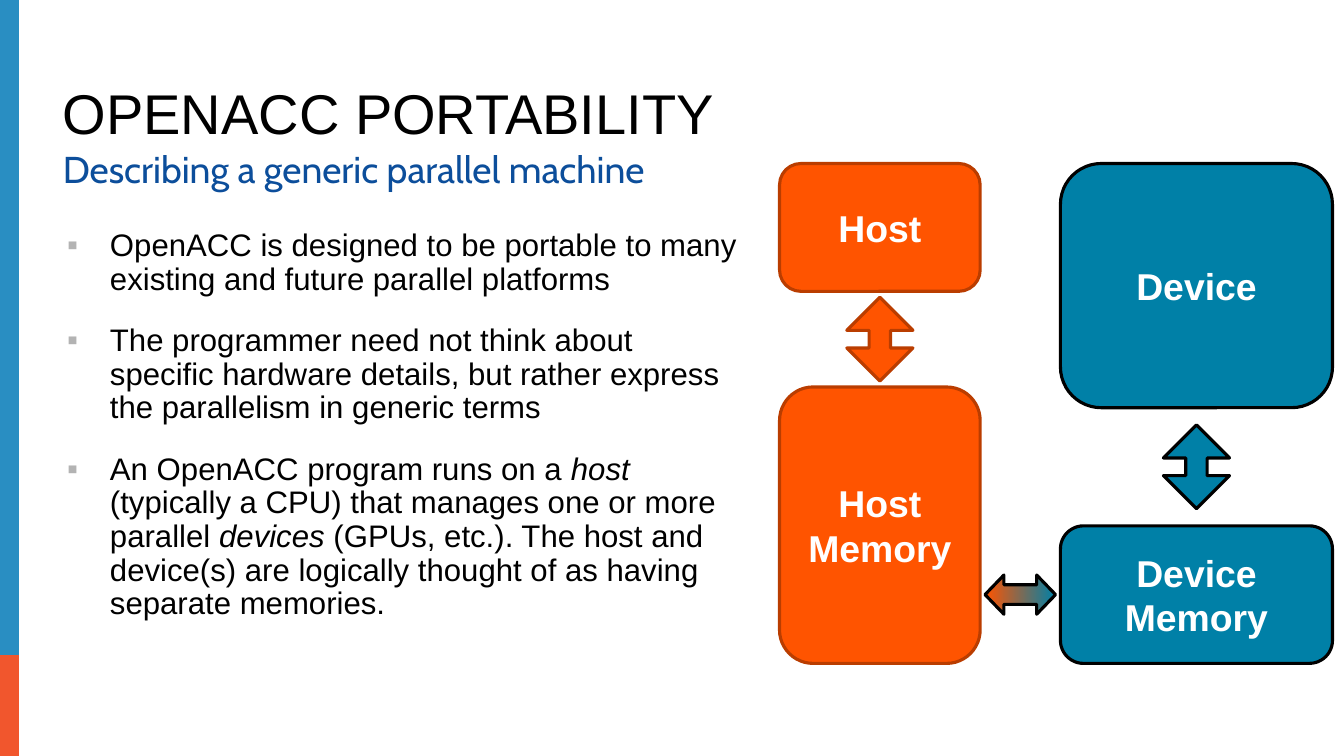
"""Build the OpenACC portability slide with its host and device diagram."""
from lxml import etree
from pptx import Presentation
from pptx.dml.color import RGBColor
from pptx.enum import shapes, text
from pptx.oxml.ns import qn
from pptx.util import Cm, Pt

BLACK = RGBColor(0x00, 0x00, 0x00)
WHITE = RGBColor(0xFF, 0xFF, 0xFF)
NAVY = RGBColor(0x0C, 0x4E, 0x9B)
GREY = RGBColor(0xB3, 0xB3, 0xB3)
BAR_BLUE = RGBColor(0x29, 0x8E, 0xC2)
BAR_RED = RGBColor(0xF1, 0x56, 0x2D)
ORANGE = RGBColor(0xFF, 0x54, 0x00)
RUST = RGBColor(0xBA, 0x3D, 0x00)
TEAL = RGBColor(0x00, 0x80, 0xA7)

TITLE = {"name": "Arial", "size": Pt(36)}
SUBTITLE = {"name": "Cabin", "size": Pt(24)}
BODY = {"name": "Arial", "size": Pt(20)}
LABEL = {"name": "Arial", "size": Pt(24), "bold": True}

HOST_X, HOST_W = 17.68, 4.55
DEVICE_X, DEVICE_W = 24.05, 6.17
TOP, BOTTOM = 3.71, 15.05
ARROW_W, ARROW_H = 1.5, 1.9
LINK_W, LINK_H = 1.6, 0.89

BULLETS = [
    ["OpenACC is designed to be portable to many existing and future parallel platforms"],
    ["The programmer need not think about specific hardware details, "
     "but rather express the parallelism in generic terms"],
    ["An OpenACC program runs on a ", "host",
     " (typically a CPU) that manages one or more parallel ", "devices ",
     "(GPUs, etc.). The host and device(s) are logically thought of as "
     "having separate memories."],
]


def set_format(obj, values):
    """Set every attribute named in values on obj."""
    for name, value in values.items():
        setattr(obj, name, value)


def add_run(p, words, font, color):
    """Append a formatted run to a paragraph."""
    r = p.add_run()
    r.text = words
    set_format(r.font, font)
    r.font.color.rgb = color
    return r


def set_bullet(p, indent=0, char=None):
    """Give a paragraph a hanging square bullet, or none."""
    pPr = p._p.get_or_add_pPr()
    pPr.set("marL", str(Cm(indent)))
    pPr.set("indent", str(-Cm(indent)))
    if char is None:
        etree.SubElement(pPr, qn("a:buNone"))
        return
    clr = etree.SubElement(pPr, qn("a:buClr"))
    etree.SubElement(clr, qn("a:srgbClr")).set("val", str(GREY))
    etree.SubElement(pPr, qn("a:buFont")).set("typeface", "Arial")
    etree.SubElement(pPr, qn("a:buChar")).set("char", char)


def place(sp, x, y, w, h, anchor=text.MSO_ANCHOR.TOP):
    """Move a placeholder and return its text frame."""
    set_format(sp, {"left": Cm(x), "top": Cm(y), "width": Cm(w), "height": Cm(h)})
    tf = sp.text_frame
    set_format(tf, {"word_wrap": True, "vertical_anchor": anchor,
                    "auto_size": text.MSO_AUTO_SIZE.NONE})
    return tf


def format_paragraph(p, before=0):
    """Apply the left-aligned, tight paragraph spacing."""
    set_format(p, {"alignment": text.PP_ALIGN.LEFT, "line_spacing": 0.9,
                   "space_before": Pt(before), "space_after": Pt(0)})


def add_headings(title, subtitle):
    """Fill the title and the line below it."""
    p = place(title, 1.17, 1.8, 27.71, 1.65, text.MSO_ANCHOR.BOTTOM).paragraphs[0]
    format_paragraph(p)
    add_run(p, "OPENACC PORTABILITY", TITLE, BLACK)
    p = place(subtitle, 1.17, 3.3, 27.71, 1.45).paragraphs[0]
    format_paragraph(p)
    set_bullet(p)
    add_run(p, "Describing a generic parallel machine", SUBTITLE, NAVY)


def add_bullets(sp):
    """Fill the bullet list, with every second run in italics."""
    tf = place(sp, 1.27, 5.08, 15.85, 10.26)
    for i, pieces in enumerate(BULLETS):
        p = tf.add_paragraph() if i else tf.paragraphs[0]
        format_paragraph(p, 18 if i else 0)
        set_bullet(p, 0.97, "▪")
        for j, piece in enumerate(pieces):
            add_run(p, piece, BODY, BLACK).font.italic = j % 2 == 1


def add_shape(s, kind, x, y, w, h, fill, line=None, adjust=()):
    """Add a flat preset shape with an optional 2 pt outline."""
    sp = s.shapes.add_shape(kind, Cm(x), Cm(y), Cm(w), Cm(h))
    sp.shadow.inherit = False
    sp.fill.solid()
    sp.fill.fore_color.rgb = fill
    if line is None:
        sp.line.fill.background()
    else:
        sp.line.color.rgb = line
        sp.line.width = Pt(2)
    for i, value in enumerate(adjust):
        sp.adjustments[i] = value
    return sp


def add_box(s, label, x, y, w, h, fill, line):
    """Add a rounded box with a centred label."""
    sp = add_shape(s, shapes.MSO_SHAPE.ROUNDED_RECTANGLE, x, y, w, h, fill, line, [0.167])
    tf = sp.text_frame
    set_format(tf, {"word_wrap": True, "vertical_anchor": text.MSO_ANCHOR.MIDDLE})
    p = tf.paragraphs[0]
    p.alignment = text.PP_ALIGN.CENTER
    add_run(p, label, LABEL, WHITE)


def add_column(s, name, x, w, upper_h, memory_h, fill, line):
    """Add a unit above its memory, with an arrow midway between them."""
    memory_y = BOTTOM - memory_h
    add_box(s, name, x, TOP, w, upper_h, fill, line)
    add_box(s, f"{name} Memory", x, memory_y, w, memory_h, fill, line)
    middle = (TOP + upper_h + memory_y) / 2
    add_shape(s, shapes.MSO_SHAPE.UP_DOWN_ARROW, x + (w - ARROW_W) / 2,
              middle - ARROW_H / 2, ARROW_W, ARROW_H, fill, line, [0.5, 0.323])


def add_memory_link(s, y):
    """Add the gradient arrow between the two memories, centred on y."""
    x = (HOST_X + HOST_W + DEVICE_X - LINK_W) / 2
    sp = add_shape(s, shapes.MSO_SHAPE.LEFT_RIGHT_ARROW, x, y - LINK_H / 2,
                   LINK_W, LINK_H, ORANGE, BLACK, [0.5, 0.481])
    sp.fill.gradient()
    sp.fill.gradient_angle = 0
    for stop, color in zip(sp.fill.gradient_stops, (ORANGE, TEAL)):
        stop.color.rgb = color


def main():
    """Build and save the slide."""
    prs = Presentation()
    set_format(prs, {"slide_width": Cm(30.48), "slide_height": Cm(17.15)})
    s = prs.slides.add_slide(prs.slide_layouts.get_by_name("Two Content"))
    title, body, subtitle = s.placeholders
    rect = shapes.MSO_SHAPE.RECTANGLE
    add_shape(s, rect, -0.08, 12.88, 0.51, 4.27, BAR_RED)
    add_shape(s, rect, -0.08, 0, 0.51, 14.86, BAR_BLUE)
    add_headings(title, subtitle)
    add_bullets(body)
    device_memory_h = 3.12
    add_column(s, "Host", HOST_X, HOST_W, 2.9, 6.27, ORANGE, RUST)
    add_column(s, "Device", DEVICE_X, DEVICE_W, 5.54, device_memory_h, TEAL, BLACK)
    add_memory_link(s, BOTTOM - device_memory_h / 2)
    prs.save("out.pptx")


if __name__ == "__main__":
    main()
